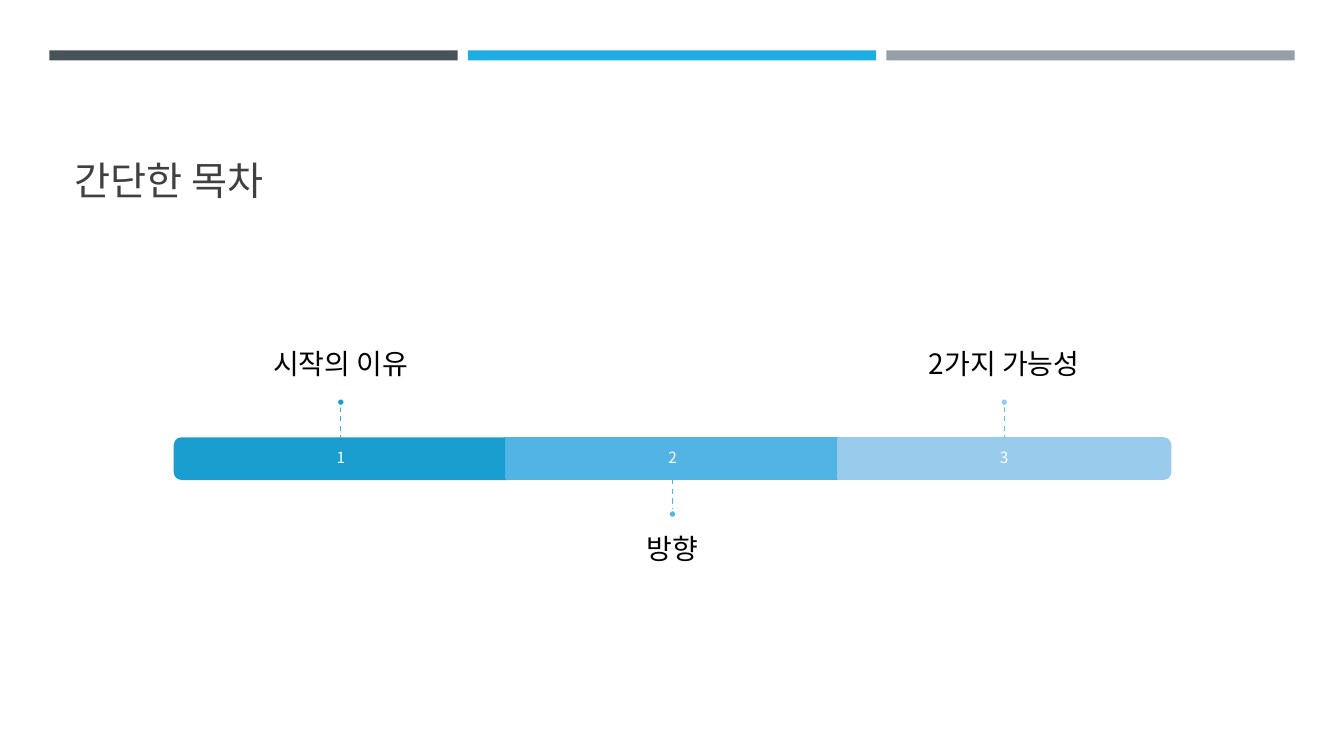
from lxml import etree
from pptx import Presentation
from pptx.dml.color import RGBColor
from pptx.enum.dml import MSO_LINE
from pptx.enum.shapes import MSO_CONNECTOR, MSO_SHAPE
from pptx.enum.text import MSO_ANCHOR, PP_ALIGN
from pptx.oxml.ns import qn
from pptx.util import Inches, Pt

FONT = "Noto Sans CJK KR"
TOP_BARS = ["465359", "1CADE4", "969FA7"]
STEPS = [
    ("시작의 이유", "199DCF", "36B3E9", MSO_SHAPE.ROUND_2_SAME_RECTANGLE, 270),
    ("방향", "52B3E5", "48B8EC", MSO_SHAPE.RECTANGLE, 0),
    ("2가지 가능성", "99CBEC", "5ABEEF", MSO_SHAPE.ROUND_2_SAME_RECTANGLE, 90),
]
STEP_W, BAR_H, DOT = 3.29, 0.4, 0.08
BAR_TOP = 4.35


def rgb(color):
    return RGBColor.from_string(color)


def write(tf, text, size, color, align=PP_ALIGN.LEFT, anchor=MSO_ANCHOR.MIDDLE,
          insets=(0.1, 0.05, 0.1, 0.05), spacing=0.9):
    tf.word_wrap = True
    tf.vertical_anchor = anchor
    tf.margin_left, tf.margin_top, tf.margin_right, tf.margin_bottom = map(Inches, insets)
    p = tf.paragraphs[0]
    p.alignment = align
    p.line_spacing = spacing
    r = p.add_run()
    r.text = text
    r.font.size = Pt(size)
    r.font.color.rgb = rgb(color)
    r.font.name = FONT
    etree.SubElement(r.font._element, qn("a:ea"), typeface=FONT)


class SlideBuilder:
    def __init__(self, slide):
        self.slide = slide

    def title(self, text, x, y, w, h):
        sp = self.slide.shapes.title
        sp.left, sp.top, sp.width, sp.height = map(Inches, (x, y, w, h))
        write(sp.text_frame, text, 28, "404040", anchor=MSO_ANCHOR.BOTTOM, spacing=1.0)

    def shape(self, kind, x, y, w, h, fill, line=None, rotation=0):
        sp = self.slide.shapes.add_shape(kind, *map(Inches, (x, y, w, h)))
        sp.shadow.inherit = False
        sp.rotation = rotation
        sp.fill.solid()
        sp.fill.fore_color.rgb = rgb(fill)
        if line:
            sp.line.color.rgb = rgb(line)
            sp.line.width = Pt(1.75)
        else:
            sp.line.fill.background()

    def text(self, text, x, y, w, h, size, color, **fmt):
        sp = self.slide.shapes.add_textbox(*map(Inches, (x, y, w, h)))
        write(sp.text_frame, text, size, color, align=PP_ALIGN.CENTER, **fmt)

    def dashed(self, x, y1, y2, color):
        line = self.slide.shapes.add_connector(
            MSO_CONNECTOR.STRAIGHT, *map(Inches, (x, y1, x, y2)))
        line.line.color.rgb = rgb(color)
        line.line.width = Pt(1)
        line.line.dash_style = MSO_LINE.DASH
        etree.SubElement(line._element.spPr, qn("a:effectLst"))

    def step(self, number, center, label, fill, line, kind, rotation):
        middle = BAR_TOP + BAR_H / 2
        w, h = (BAR_H, STEP_W) if rotation else (STEP_W, BAR_H)
        self.shape(kind, center - w / 2, middle - h / 2, w, h, fill, fill, rotation)
        self.text(str(number), center - STEP_W / 2, BAR_TOP, STEP_W, BAR_H, 11, "FFFFFF",
                  insets=(0.09,) * 4)
        if number % 2:
            label_top, line_top, dot_top = 2.56, 4.03, 3.95
            fmt = dict(anchor=MSO_ANCHOR.BOTTOM, insets=(0, 0, 0, 0.17))
        else:
            label_top, line_top, dot_top = 5.14, 4.75, 5.06
            fmt = dict(anchor=MSO_ANCHOR.TOP, insets=(0, 0.17, 0, 0))
        self.text(label, center - 2.74, label_top, 5.48, 1.39, 20, "000000", **fmt)
        self.dashed(center, line_top, line_top + 0.32, line)
        self.shape(MSO_SHAPE.OVAL, center - DOT / 2, dot_top, DOT, DOT, fill, "FFFFFF")


def main():
    prs = Presentation()
    prs.slide_width, prs.slide_height = Inches(13.33), Inches(7.5)
    s = SlideBuilder(prs.slides.add_slide(prs.slide_layouts[5]))
    for i, color in enumerate(TOP_BARS):
        s.shape(MSO_SHAPE.RECTANGLE, 0.49 + 4.15 * i, 0.5, 4.05, 0.1, color)
    s.title("간단한 목차", 0.64, 0.77, 12.06, 1.3)
    for i, step in enumerate(STEPS):
        s.step(i + 1, 3.38 + STEP_W * i, *step)
    prs.save("out.pptx")


if __name__ == "__main__":
    main()
